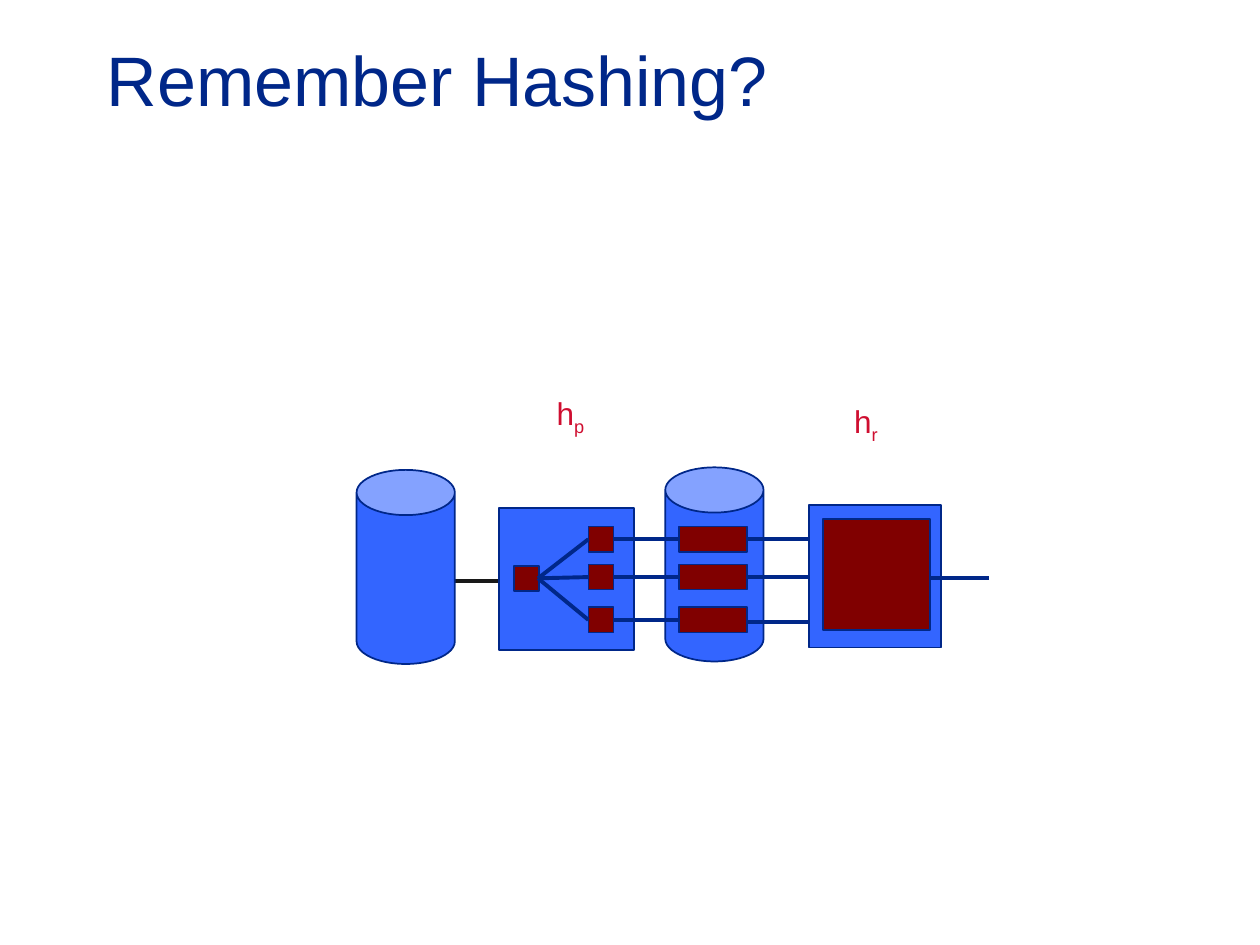
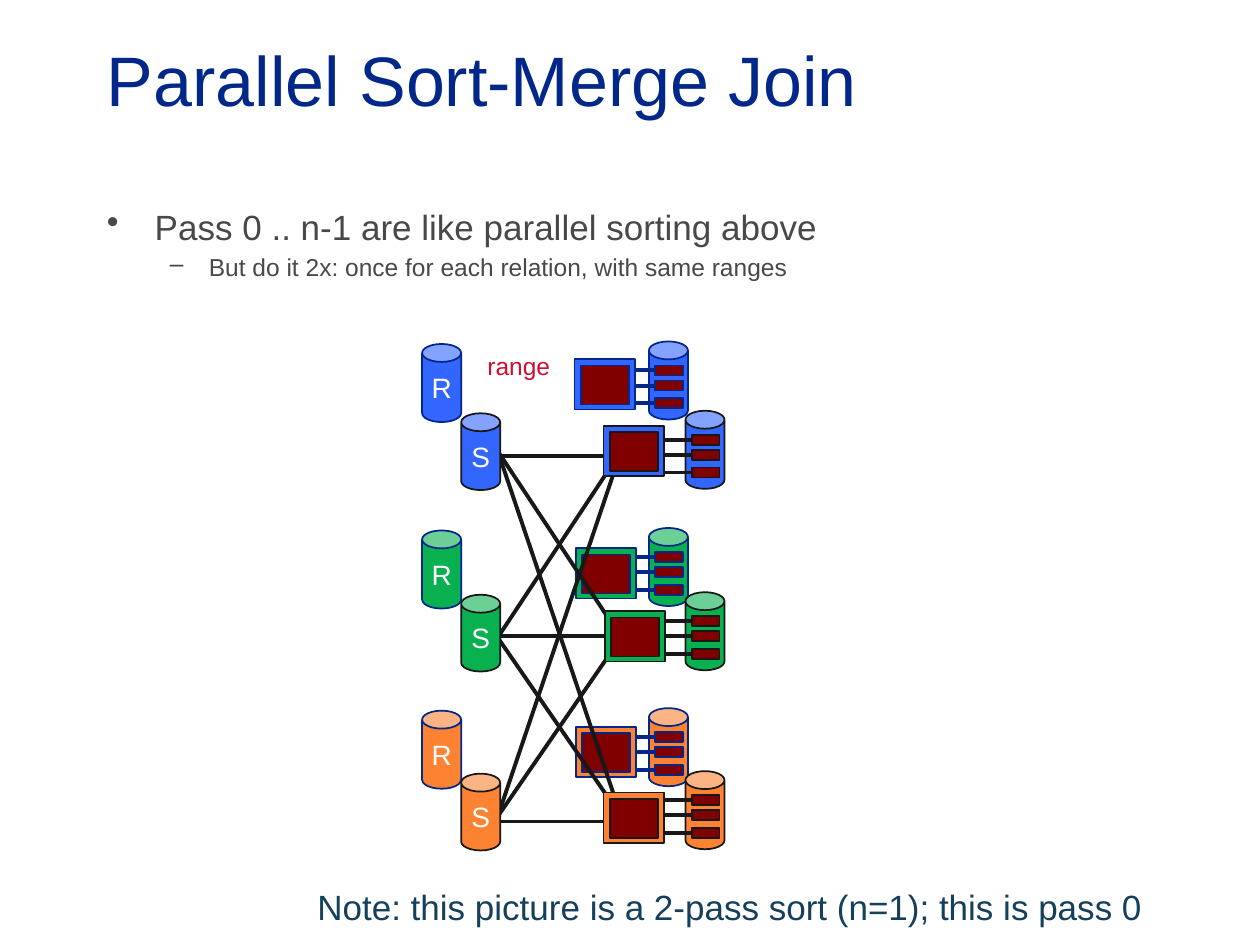
from dataclasses import dataclass
from itertools import product

from lxml import etree
from pptx import Presentation
from pptx import util as u
from pptx.dml.color import RGBColor
from pptx.enum import shapes, text
from pptx.oxml import ns

EMU_PER_PX = 9144  # 100 px to the inch
FONT = "Arial"
COLORS = {
    "navy": "002789",
    "black": "181818",
    "blue": "3365FF",
    "green": "09B050",
    "orange": "FD8232",
    "maroon": "800000",
    "red": "CF0E30",
    "gray": "484848",
    "teal": "14405C",
    "white": "FFFFFF",
}


@dataclass
class Node:
    """One machine of the cluster: its colour, and where its R and S parts sit."""
    color: str
    r_top: int
    s_top: int
    r_sorter: tuple
    s_sorter: tuple
    level: int  # height of the link from the node to itself
    port: int  # height at which links to other nodes attach


NODES = [
    Node("blue", 273, 328, (456, 285), (479, 338), 362, 358),
    Node("green", 421, 472, (457, 435), (480, 485), 505, 506),
    Node("orange", 564, 614, (457, 577), (479, 629), 652, 648),
]


def px(value):
    return u.Emu(value * EMU_PER_PX)


def rgb(name):
    return RGBColor.from_string(COLORS[name])


def write(paragraph, content, *, size, color, baseline=0):
    """Add a run; baseline is in percent, below zero for a subscript."""
    run = paragraph.add_run()
    run.text = content
    run.font.name = FONT
    run.font.size = u.Pt(size)
    run.font.color.rgb = rgb(color)
    if baseline:
        run._r.get_or_add_rPr().set("baseline", str(baseline * 1000))


def add_text_box(slide, left, top, width, height, anchor=text.MSO_ANCHOR.TOP):
    frame = slide.shapes.add_textbox(px(left), px(top), px(width), px(height)).text_frame
    frame.word_wrap = True
    frame.vertical_anchor = anchor
    return frame


def add_bullet(paragraph, content, *, mark, left, hang, size, color):
    properties = paragraph._p.get_or_add_pPr()
    properties.set("marL", str(px(left)))
    properties.set("indent", str(-px(hang)))
    paragraph.space_before = u.Pt(size * 0.2)
    etree.SubElement(properties, ns.qn("a:buChar")).set("char", mark)
    write(paragraph, content, size=size, color=color)


def add_hash_label(slide, left, top, subscript):
    paragraph = add_text_box(slide, left, top, 69, 63).paragraphs[0]
    write(paragraph, "h", size=18, color="red")
    write(paragraph, subscript, size=18, color="red", baseline=-25)


def add_block(slide, kind, left, top, width, height, fill, line="navy"):
    shape = slide.shapes.add_shape(kind, px(left), px(top), px(width), px(height))
    shape.shadow.inherit = False
    shape.fill.solid()
    shape.fill.fore_color.rgb = rgb(fill)
    shape.line.color.rgb = rgb(line)
    shape.line.width = u.Pt(1)
    return shape


def add_box(slide, left, top, width, height, fill="maroon", line="navy"):
    return add_block(slide, shapes.MSO_SHAPE.RECTANGLE, left, top, width, height, fill, line)


def add_disk(slide, left, top, width, height, fill, line="navy", label=""):
    shape = add_block(slide, shapes.MSO_SHAPE.CAN, left, top, width, height, fill, line)
    shape.adjustments[0] = 0.46
    if label:
        frame = shape.text_frame
        frame.margin_left = frame.margin_right = 0
        frame.margin_top = frame.margin_bottom = 0
        frame.vertical_anchor = text.MSO_ANCHOR.MIDDLE
        frame.paragraphs[0].alignment = text.PP_ALIGN.CENTER
        write(frame.paragraphs[0], label, size=16, color="white")


def add_link(slide, start, end, color="navy"):
    connector = slide.shapes.add_connector(
        shapes.MSO_CONNECTOR.STRAIGHT, *map(px, start), *map(px, end))
    connector.line.color.rgb = rgb(color)
    connector.line.width = u.Pt(2.25)
    etree.SubElement(connector._element.spPr, ns.qn("a:effectLst"))


def add_run_disk(slide, left, top, fill, line):
    """A disk with three sorted runs, each fed by a link from the left."""
    add_disk(slide, left, top, 31, 62, fill, line)
    for offset in (19, 31, 45):
        add_box(slide, left + 5, top + offset, 22, 8, line=line)
        middle = top + offset + 4
        add_link(slide, (left - 16, middle), (left + 5, middle), line)


def add_sorter(slide, left, top, fill, line):
    add_box(slide, left, top, 48, 40, fill, line)
    add_box(slide, left + 5, top + 5, 38, 31, line=line)


def add_titled_slide(presentation, title):
    slide = presentation.slides.add_slide(presentation.slide_layouts[6])
    frame = add_text_box(slide, 75, 0, 850, 125, text.MSO_ANCHOR.MIDDLE)
    write(frame.paragraphs[0], title, size=40, color="navy")
    return slide


def build_hashing(presentation):
    slide = add_titled_slide(presentation, "Remember Hashing?")
    add_link(slide, (361, 461), (403, 461), "black")
    add_disk(slide, 283, 373, 78, 154, "blue")
    add_disk(slide, 528, 371, 78, 154, "blue")
    add_box(slide, 396, 403, 107, 113, "blue")
    add_box(slide, 408, 449, 20, 20)
    for row, output in ((428, 428), (458, 458), (492, 494)):
        add_box(slide, 539, row - 10, 54, 20)
        add_box(slide, 467, row - 10, 20, 20)
        add_link(slide, (427, 459), (467, row))
        add_link(slide, (487, row), (539, row))
        add_link(slide, (594, output), (642, output))
    add_hash_label(slide, 432, 308, "p")
    add_hash_label(slide, 668, 314, "r")
    add_box(slide, 642, 401, 105, 113, "blue")
    add_box(slide, 653, 412, 85, 88)
    add_link(slide, (738, 459), (785, 459))


def build_sort_merge_join(presentation):
    slide = add_titled_slide(presentation, "Parallel Sort-Merge Join")
    note = add_text_box(slide, 242, 698, 684, 44)
    write(note.paragraphs[0], "Note: this picture is a 2-pass sort (n=1); this is pass 0",
          size=20, color="teal")
    body = add_text_box(slide, 75, 158, 606, 558)
    add_bullet(body.paragraphs[0], "Pass 0 .. n-1 are like parallel sorting above",
               mark="•", left=38, hang=38, size=20, color="gray")
    add_bullet(body.add_paragraph(), "But do it 2x: once for each relation, with same ranges",
               mark="–", left=81, hang=31, size=14, color="gray")

    for node in NODES:
        add_disk(slide, 335, node.r_top, 31, 62, node.color, label="R")
        add_run_disk(slide, 515, node.r_top - 2, node.color, "navy")
        add_sorter(slide, *node.r_sorter, node.color, "navy")
    label = add_text_box(slide, 377, 274, 70, 34)
    write(label.paragraphs[0], "range", size=14, color="red")

    for source, target in product(NODES, repeat=2):
        if source is target:
            add_link(slide, (388, source.level), (494, source.level), "black")
        else:
            add_link(slide, (395, source.port), (493, target.port), "black")
    for node in NODES:
        add_disk(slide, 366, node.s_top, 31, 61, node.color, "black", label="S")
        add_run_disk(slide, 544, node.s_top - 2, node.color, "black")
        add_sorter(slide, *node.s_sorter, node.color, "black")


def main():
    presentation = Presentation()
    presentation.slide_width, presentation.slide_height = px(1000), px(750)
    build_hashing(presentation)
    build_sort_merge_join(presentation)
    presentation.save("out.pptx")


if __name__ == "__main__":
    main()
